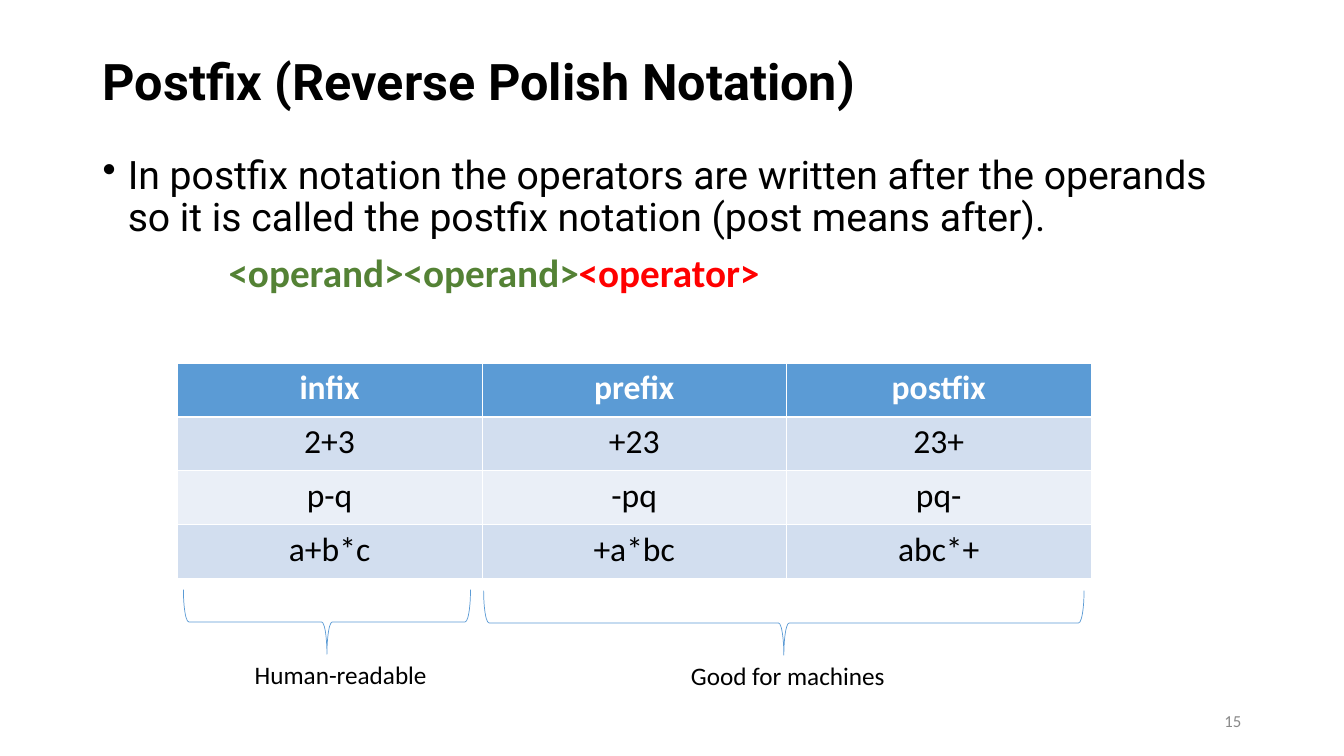
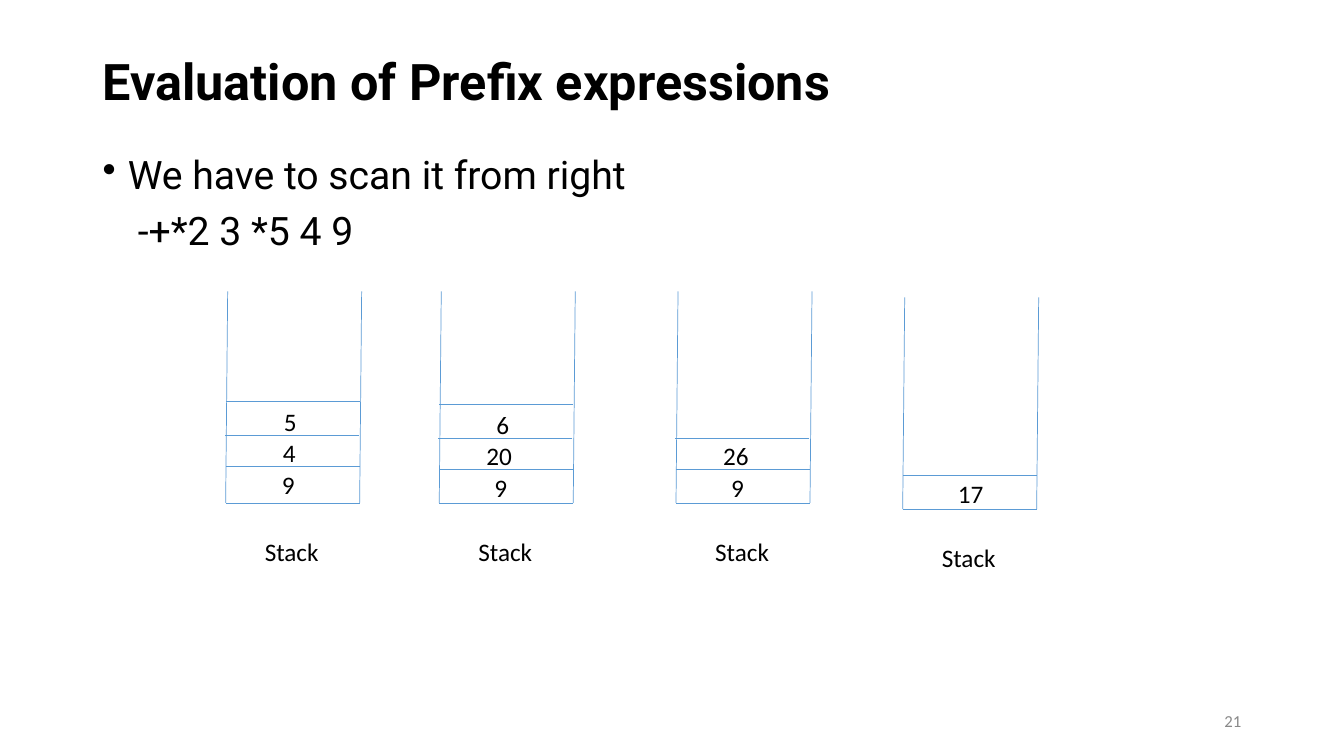
from lxml.etree import SubElement
from pptx import Presentation
from pptx.dml.color import RGBColor
from pptx.enum.shapes import MSO_CONNECTOR as Connector, MSO_SHAPE as Shape
from pptx.enum.text import MSO_ANCHOR as Anchor, PP_ALIGN as Align
from pptx.oxml.ns import qn
from pptx.util import Inches, Pt

BLACK, WHITE, BLUE = "000000", "FFFFFF", "5B9BD5"
GREEN, RED, GRAY = "548235", "FF0000", "898989"
BANDS = ("D2DEEF", "EAEFF7")

TITLE = {"name": "Roboto", "size": Pt(36), "bold": True, "color": BLACK}
BODY = {"name": "Roboto", "size": Pt(28), "bold": False, "color": BLACK}
LABEL = {"name": "Calibri", "size": Pt(18), "bold": False, "color": BLACK}
SYNTAX = {**BODY, "name": "Calibri", "bold": True}
CELL = {**LABEL, "size": Pt(24)}
HEADER = {**CELL, "bold": True, "color": WHITE}
PAGE_NUMBER = {**LABEL, "size": Pt(12), "color": GRAY}

NOTATIONS = [
    ("infix", "prefix", "postfix"),
    ("2+3", "+23", "23+"),
    ("p-q", "-pq", "pq-"),
    ("a+b*c", "+a*bc", "abc*+"),
]

# Left, top, lift of the contents, then (value, indent) from the bottom up
STACKS = [
    (2.24, 2.89, 0.03, [("9", 0.46), ("4", 0.47), ("5", 0.48)]),
    (4.36, 2.89, 0, [("9", 0.45), ("20", 0.37), ("6", 0.47)]),
    (6.71, 2.89, 0, [("9", 0.45), ("26", 0.37)]),
    (8.96, 2.95, 0, [("17", 0.45)]),
]
STACK_WIDTH, STACK_HEIGHT, STACK_LEAN = 1.33, 2.1, 0.02
# For each level: height of divider, shift of divider, height of value
STACK_LEVELS = [(0.33, 0, 0.35), (0.64, -0.01, 0.67), (0.98, 0, 0.98)]


def rgb(color):
    return RGBColor.from_string(color)


def add_run(paragraph, text, style):
    run = paragraph.add_run()
    run.text = text
    for name, value in style.items():
        if name == "color":
            run.font.color.rgb = rgb(value)
        else:
            setattr(run.font, name, value)


def add_frame(slide, left, top, width, height, wrap=True, anchor=Anchor.TOP):
    box = slide.shapes.add_textbox(*map(Inches, (left, top, width, height)))
    frame = box.text_frame
    frame.word_wrap = wrap
    frame.vertical_anchor = anchor
    return frame


def add_label(slide, text, left, top, width, wrap=False):
    frame = add_frame(slide, left, top, width, 0.4, wrap)
    add_run(frame.paragraphs[0], text, LABEL)


def set_indent(paragraph, left, first=0):
    properties = paragraph._p.get_or_add_pPr()
    properties.set("marL", str(Inches(left)))
    properties.set("indent", str(Inches(first)))
    return properties


def add_bullet(paragraph):
    properties = set_indent(paragraph, 0.25, -0.25)
    color = SubElement(properties, qn("a:buClr"))
    SubElement(color, qn("a:srgbClr"), val=BLACK)
    SubElement(properties, qn("a:buChar"), char="•")


def add_slide(presentation, title, number):
    slide = presentation.slides.add_slide(presentation.slide_layouts[6])
    paragraph = add_frame(slide, 0.92, 0.4, 11.5, 0.88, anchor=Anchor.MIDDLE).paragraphs[0]
    paragraph.line_spacing = 0.9
    add_run(paragraph, title, TITLE)
    paragraph = add_frame(slide, 9.42, 6.95, 3, 0.4, anchor=Anchor.MIDDLE).paragraphs[0]
    paragraph.alignment = Align.RIGHT
    add_run(paragraph, number, PAGE_NUMBER)
    return slide


def add_body(slide, point, example_indent, example_runs):
    """Add a bulleted point with an indented example below it."""
    frame = add_frame(slide, 0.92, 1.49, 11.5, 5.26)
    bullet, example = frame.paragraphs[0], frame.add_paragraph()
    add_bullet(bullet)
    add_run(bullet, point, BODY)
    set_indent(example, example_indent)
    example.space_before = Pt(10)
    for text, style in example_runs:
        add_run(example, text, style)
    for paragraph in frame.paragraphs:
        paragraph.line_spacing = 0.9


def set_borders(cell, widths):
    properties = cell._tc.get_or_add_tcPr()
    for index, (side, width) in enumerate(widths.items()):
        line = properties.makeelement(qn(f"a:ln{side}"), {"w": str(Pt(width))})
        fill = SubElement(line, qn("a:solidFill"))
        SubElement(fill, qn("a:srgbClr"), val=WHITE)
        properties.insert(index, line)


def add_notation_table(slide, rows, left, top, width, height):
    frame = slide.shapes.add_table(
        len(rows), len(rows[0]), *map(Inches, (left, top, width, height)))
    for row, texts in enumerate(rows):
        for column, text in enumerate(texts):
            cell = frame.table.cell(row, column)
            cell.fill.solid()
            cell.fill.fore_color.rgb = rgb(BANDS[(row - 1) % 2] if row else BLUE)
            set_borders(cell, {"L": 0.45, "R": 0.45,
                               "T": 1.47 if row == 1 else 0.45,
                               "B": 1.47 if row == 0 else 0.45})
            paragraph = cell.text_frame.paragraphs[0]
            paragraph.alignment = Align.CENTER
            add_run(paragraph, text, CELL if row else HEADER)


def add_brace(slide, left, top, width, depth=0.64):
    """Add a brace that opens upwards and points down."""
    shape = slide.shapes.add_shape(
        Shape.RIGHT_BRACE, Inches(left + (width - depth) / 2),
        Inches(top + (depth - width) / 2), Inches(depth), Inches(width))
    shape.rotation = 90
    shape.shadow.inherit = False
    shape.fill.background()
    shape.line.color.rgb = rgb(BLUE)
    shape.line.width = Pt(0.5)


def add_line(slide, x1, y1, x2, y2):
    line = slide.shapes.add_connector(Connector.STRAIGHT, *map(Inches, (x1, y1, x2, y2)))
    line.line.color.rgb = rgb(BLUE)
    line.line.width = Pt(0.5)
    SubElement(line._element.spPr, qn("a:effectLst"))


def add_stack(slide, left, top, lift, values):
    bottom, right = top + STACK_HEIGHT, left + STACK_WIDTH
    for side in (left, right):
        add_line(slide, side + STACK_LEAN, top, side, bottom)
    add_line(slide, right, bottom, left, bottom)
    for (value, indent), (divider, shift, height) in zip(values, STACK_LEVELS):
        y = bottom - divider - lift
        add_line(slide, right + shift, y, left + shift, y)
        add_label(slide, value, left + indent, bottom - height - lift, 0.56, wrap=True)
    add_label(slide, "Stack", left + 0.29, bottom + 0.28, 0.74)


def add_postfix_slide(presentation):
    slide = add_slide(presentation, "Postfix (Reverse Polish Notation)", "15")
    add_body(
        slide,
        "In postfix notation the operators are written after the operands "
        "so it is called the postfix notation (post means after).",
        1.25,
        [("<operand><operand>", {**SYNTAX, "color": GREEN}),
         ("<operator>", {**SYNTAX, "color": RED})])
    add_notation_table(slide, NOTATIONS, 1.76, 3.6, 9.07, 2.14)
    add_brace(slide, 1.82, 5.85, 2.85)
    add_brace(slide, 4.8, 5.86, 5.96)
    add_label(slide, "Human-readable", 2.43, 6.49, 1.91)
    add_label(slide, "Good for machines", 6.76, 6.5, 2.13)


def add_prefix_slide(presentation):
    slide = add_slide(presentation, "Evaluation of Prefix expressions", "21")
    add_body(slide, "We have to scan it from right", 0.35, [("-+*2 3 *5 4 9", BODY)])
    for stack in STACKS:
        add_stack(slide, *stack)


def main():
    presentation = Presentation()
    presentation.slide_width = Inches(13.34)
    presentation.slide_height = Inches(7.5)
    add_postfix_slide(presentation)
    add_prefix_slide(presentation)
    presentation.save("out.pptx")


if __name__ == "__main__":
    main()
